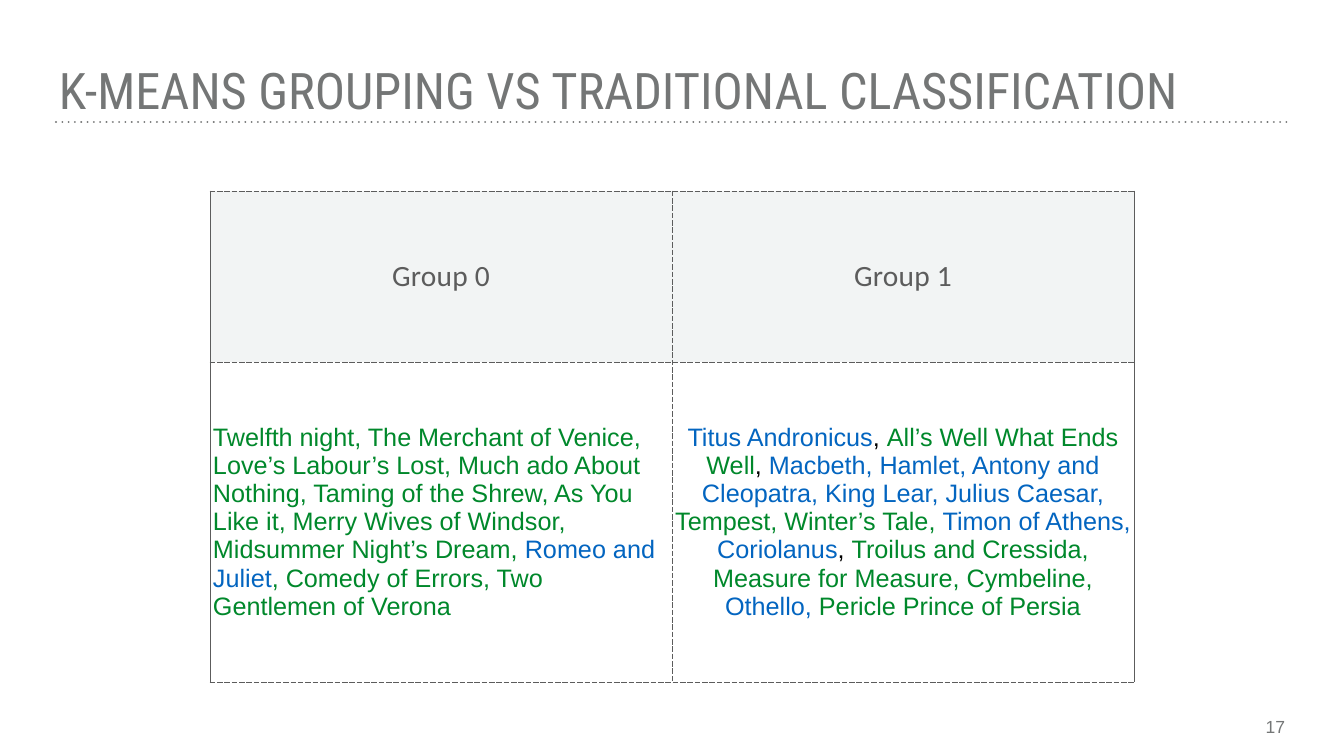
from lxml import etree
from pptx import Presentation
from pptx.dml.color import RGBColor
from pptx.enum.shapes import MSO_CONNECTOR
from pptx.enum.text import MSO_ANCHOR, PP_ALIGN
from pptx.oxml import parse_xml
from pptx.oxml.ns import nsdecls, qn
from pptx.util import Pt

PX = 914400 / 50.4
LEFT, CENTER, RIGHT = PP_ALIGN.LEFT, PP_ALIGN.CENTER, PP_ALIGN.RIGHT
TOP, MIDDLE = MSO_ANCHOR.TOP, MSO_ANCHOR.MIDDLE
STRAIGHT = MSO_CONNECTOR.STRAIGHT
GRAY, DARK, PALE = "747676", "5C5C5C", "F2F4F4"
COMEDY, TRAGEDY, BLACK = "00882B", "0365C0", "000000"


def px(length):
    return round(length * PX)


def paint(target, color):
    target.rgb = RGBColor.from_string(color)


deck = Presentation()
deck.slide_width, deck.slide_height = px(1344), px(756)
page = deck.slides.add_slide(deck.slide_layouts[6])

rule = page.shapes.add_connector(STRAIGHT, px(56), px(122), px(1288), px(122))
paint(rule.line.color, GRAY)
rule.line.width = Pt(3)
outline = rule.line._get_or_add_ln()
outline.set("cap", "rnd")
dots = etree.SubElement(outline, qn("a:custDash"))
etree.SubElement(dots, qn("a:ds"), d="100000", sp="200000")
etree.SubElement(rule._element.spPr, qn("a:effectLst"))

labels = [
    ("K-MEANS GROUPING VS TRADITIONAL CLASSIFICATION",
     (56, 56, 1232, 56), 72, "Roboto Condensed", LEFT),
    ("17", (1238, 713, 50, 26), 25, "Arial", RIGHT),
]
for text, place, size, font, align in labels:
    box = page.shapes.add_textbox(*map(px, place))
    frame = box.text_frame
    frame.word_wrap = True
    frame.vertical_anchor = TOP
    frame.margin_left = frame.margin_right = px(3)
    frame.margin_top = frame.margin_bottom = px(3)
    frame.text = text
    para = frame.paragraphs[0]
    para.alignment = align
    span = para.runs[0]
    span.font.size, span.font.name = Pt(size), font
    paint(span.font.color, GRAY)

plays = [
    [
        ("Twelfth night, The Merchant of Venice, Love’s Labour’s Lost, "
         "Much ado About Nothing, Taming of the Shrew, As You Like it, "
         "Merry Wives of Windsor, Midsummer Night’s Dream, ", COMEDY),
        ("Romeo and Juliet", TRAGEDY),
        (", Comedy of Errors, Two Gentlemen of Verona", COMEDY),
    ],
    [
        ("Titus Andronicus", TRAGEDY),
        (", ", BLACK),
        ("All’s Well What Ends Well", COMEDY),
        (", ", BLACK),
        ("Macbeth, Hamlet, Antony and Cleopatra, King Lear, "
         "Julius Caesar, ", TRAGEDY),
        ("Tempest, Winter’s Tale, ", COMEDY),
        ("Timon of Athens, Coriolanus", TRAGEDY),
        (", ", BLACK),
        ("Troilus and Cressida, Measure for Measure, Cymbeline, ", COMEDY),
        ("Othello, ", TRAGEDY),
        ("Pericle Prince of Persia", COMEDY),
    ],
]
headings = [[(f"Group {number}", DARK)] for number in range(2)]

table = page.shapes.add_table(2, 2, px(210), px(191), px(924), px(491)).table
table.first_row = table.horz_banding = False
for column in table.columns:
    column.width = px(462)
table.rows[0].height, table.rows[1].height = px(171), px(320)

for row, contents in enumerate([headings, plays]):
    size, font = [(42, "Calibri"), (36, "Arial")][row]
    for col, parts in enumerate(contents):
        cell = table.cell(row, col)
        cell.vertical_anchor = MIDDLE
        cell.margin_left = cell.margin_right = px(3)
        cell.margin_top = cell.margin_bottom = px(3)
        para = cell.text_frame.paragraphs[0]
        para.alignment = LEFT if (row, col) == (1, 0) else CENTER
        para.space_before = Pt(20)
        for text, color in parts:
            span = para.add_run()
            span.text = text
            span.font.size, span.font.name = Pt(size), font
            paint(span.font.color, color)
            if row == 0:
                span.font._element.set("spc", "40")
        if row == 0:
            cell.fill.solid()
            paint(cell.fill.fore_color, PALE)
        else:
            cell.fill.background()
        outer = "L" if col == 0 else "R"
        properties = cell._tc.get_or_add_tcPr()
        for index, side in enumerate("LRTB"):
            dash = "solid" if side == outer else "lgDash"
            properties.insert(index, parse_xml(
                f'<a:ln{side} {nsdecls("a")} w="12700"><a:solidFill>'
                f'<a:srgbClr val="{DARK}"/></a:solidFill>'
                f'<a:prstDash val="{dash}"/></a:ln{side}>'))

deck.save("out.pptx")
